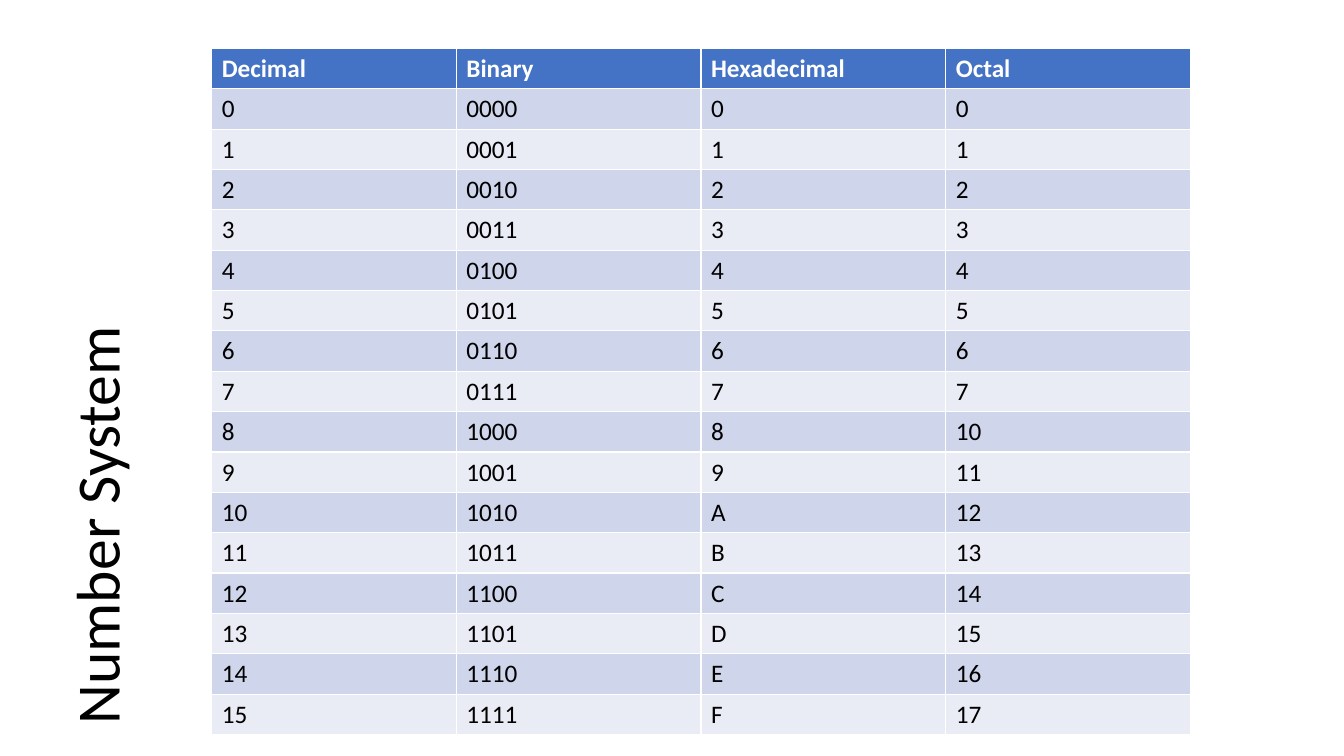
from dataclasses import dataclass

from pptx import Presentation
from pptx.dml.color import RGBColor as Rgb
from pptx.enum.text import MSO_ANCHOR as Anchor
from pptx.util import Inches, Pt


@dataclass(frozen=True)
class Theme:
    """Colours, type sizes and the pitch of the square grid."""
    font: str = "Calibri"
    ink: str = "000000"
    light: str = "FFFFFF"
    head: str = "4472C4"
    bands: tuple = ("CFD5EA", "E9EBF5")
    title: int = 44
    body: int = 18
    pitch: float = 0.1


THEME = Theme()
HEADS = ("Decimal", "Binary", "Hexadecimal", "Octal")


def grid(*units):
    """Turn grid columns and rows into lengths."""
    return [Inches(unit * THEME.pitch) for unit in units]


def style(para, size, color, bold=False):
    """Set the font of a paragraph."""
    font = para.font
    font.name, font.size, font.bold = THEME.font, Pt(size), bold
    font.color.rgb = Rgb.from_string(color)


def add_title(slide, text, *area):
    """Add a title that reads upwards."""
    box = slide.shapes.add_textbox(*grid(*area))
    box.rotation = 270
    frame = box.text_frame
    frame.word_wrap = True
    frame.vertical_anchor = Anchor.MIDDLE
    para = frame.paragraphs[0]
    para.text = text
    para.line_spacing = 0.9
    style(para, THEME.title, THEME.ink)


def fill_cell(cell, text, fill, color, bold):
    """Write and colour one table cell."""
    cell.text = text
    cell.fill.solid()
    cell.fill.fore_color.rgb = Rgb.from_string(fill)
    style(cell.text_frame.paragraphs[0], THEME.body, color, bold)


def add_grid(slide, rows, *area):
    """Add a table with a header and banded rows."""
    shape = slide.shapes.add_table(len(rows), len(rows[0]), *grid(*area))
    for i, row in enumerate(rows):
        head = i == 0
        fill = THEME.head if head else THEME.bands[(i - 1) % 2]
        color = THEME.light if head else THEME.ink
        for j, text in enumerate(row):
            fill_cell(shape.table.cell(i, j), text, fill, color, head)


def main():
    """Build the number system slide."""
    deck = Presentation()
    deck.slide_width, deck.slide_height = grid(133.33, 75)
    slide = deck.slides.add_slide(deck.slide_layouts[6])
    add_title(slide, "Number System", -24.1, 31.6, 68, 14.5)
    rows = [HEADS] + [(f"{n}", f"{n:04b}", f"{n:X}", f"{n:o}") for n in range(16)]
    add_grid(slide, rows, 21, 4.8, 97.1, 68)
    deck.save("out.pptx")


if __name__ == "__main__":
    main()
